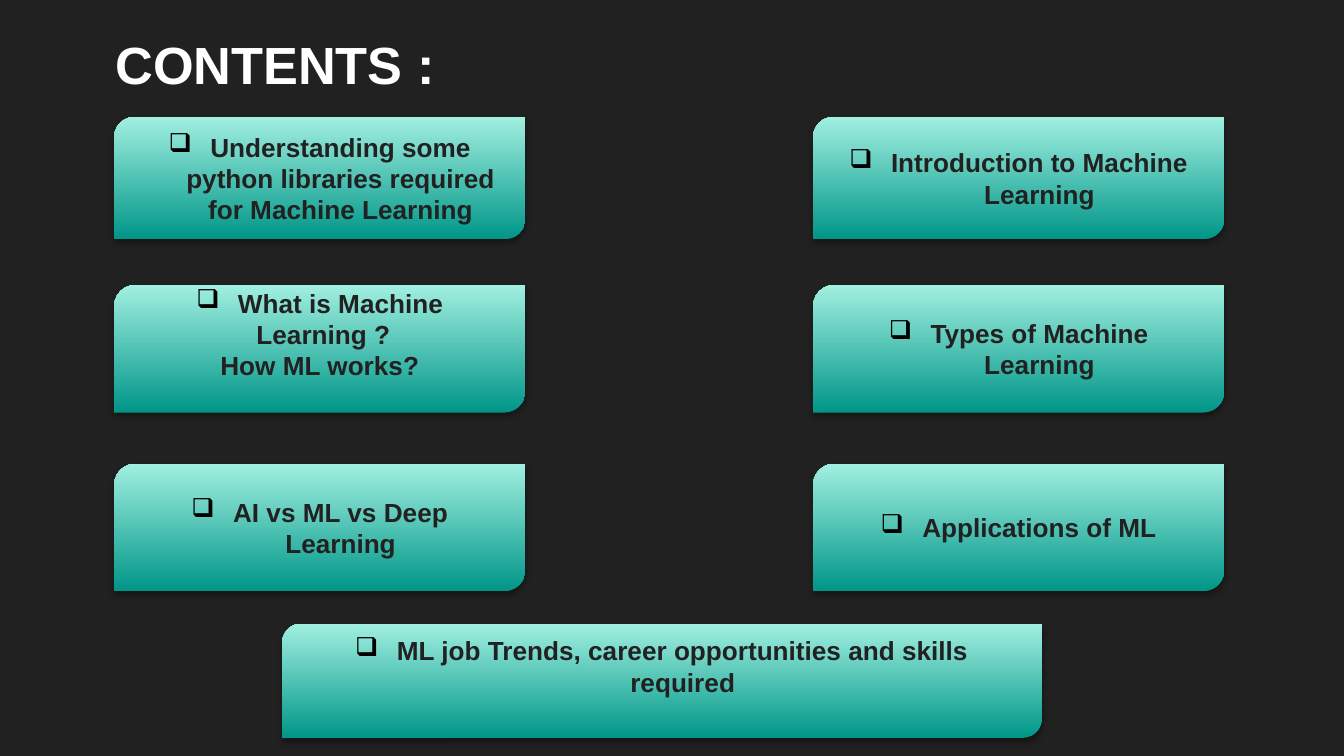
import dataclasses

import pptx
import pptx.dml.color
import pptx.dml.fill
import pptx.enum.shapes
import pptx.enum.text
import pptx.oxml
import pptx.oxml.ns
import pptx.shapes.autoshape
import pptx.slide
import pptx.util

SLIDE_WIDTH = pptx.util.Inches(10)
SLIDE_HEIGHT = SLIDE_WIDTH * 9 // 16

DARK = pptx.dml.color.RGBColor(0x21, 0x21, 0x21)
WHITE = pptx.dml.color.RGBColor(0xFF, 0xFF, 0xFF)
TEAL = pptx.dml.color.RGBColor(0x00, 0x96, 0x88)
MINT = pptx.dml.color.RGBColor(0xA1, 0xEF, 0xE0)

CARD_FONT = {"name": "Arial", "size": pptx.util.Pt(14), "bold": True}
TITLE_FONT = {"name": "Arial", "size": pptx.util.Pt(28), "bold": True}
# Insets that lift the text of a card by half a line
RAISED_FRAME = {"margin_top": 0, "margin_bottom": pptx.util.Inches(0.22)}
HANGING_INDENT = pptx.util.Inches(0.31)

# All places below are percentages of the slide's width and height
LEFT_COLUMN, RIGHT_COLUMN = 8.5, 60.5
CARD_WIDTH = 30.6
FIRST_ROW, SECOND_ROW, THIRD_ROW = (15.47, 16.18), (37.69, 16.89), (61.33, 16.89)
LAST_ROW = (82.49, 15.11)


@dataclasses.dataclass(frozen=True)
class Card:
    lines: tuple[str, ...]
    column: float
    row: tuple[float, float]
    width: float = CARD_WIDTH
    raised: bool = False


CARDS = (
    Card(("Understanding some python libraries required for Machine Learning",),
         LEFT_COLUMN, FIRST_ROW),
    Card(("Introduction to Machine Learning",), RIGHT_COLUMN, FIRST_ROW),
    Card(("What is Machine", " Learning ?", "How ML works?"),
         LEFT_COLUMN, SECOND_ROW, raised=True),
    Card(("Types of Machine Learning",), RIGHT_COLUMN, SECOND_ROW),
    Card(("AI vs ML vs Deep Learning",), LEFT_COLUMN, THIRD_ROW),
    Card(("Applications of ML",), RIGHT_COLUMN, THIRD_ROW),
    Card(("ML job Trends, career opportunities and skills required",),
         21, LAST_ROW, 56.5, raised=True),
)


def across(share: float) -> int:
    return round(SLIDE_WIDTH * share / 100)


def down(share: float) -> int:
    return round(SLIDE_HEIGHT * share / 100)


def set_format(target: object, values: dict[str, object]) -> None:
    for name, value in values.items():
        setattr(target, name, value)


def parse_drawing(xml: str):
    """Turn a snippet with a single root element into DrawingML."""
    namespace = pptx.oxml.ns.nsdecls("a")
    return pptx.oxml.parse_xml(xml.replace(">", f" {namespace}>", 1))


def add_bullet(paragraph) -> None:
    properties = paragraph._p.get_or_add_pPr()
    properties.set("marL", str(HANGING_INDENT))
    properties.set("indent", str(-HANGING_INDENT))
    properties.append(parse_drawing('<a:buClr><a:srgbClr val="000000"/></a:buClr>'))
    properties.append(parse_drawing('<a:buChar char="❑"></a:buChar>'))


def add_shadow(shape: pptx.shapes.autoshape.Shape) -> None:
    shape.shadow.inherit = False
    effects = shape._element.spPr.find(pptx.oxml.ns.qn("a:effectLst"))
    effects.append(parse_drawing(
        '<a:outerShdw blurRad="40000" dist="23000" dir="5400000" rotWithShape="0">'
        '<a:srgbClr val="000000"><a:alpha val="35000"/></a:srgbClr></a:outerShdw>'))


def fill_with_gradient(fill: pptx.dml.fill.FillFormat) -> None:
    fill.gradient()
    fill.gradient_angle = 90
    for stop, position, color in zip(fill.gradient_stops, (0, 1), (TEAL, MINT)):
        stop.position = position
        stop.color.rgb = color


def add_card(slide: pptx.slide.Slide, card: Card) -> None:
    top, height = card.row
    shape = slide.shapes.add_shape(
        pptx.enum.shapes.MSO_SHAPE.ROUND_2_DIAG_RECTANGLE,
        across(card.column), down(top), across(card.width), down(height))
    fill_with_gradient(shape.fill)
    shape.line.fill.background()
    add_shadow(shape)

    frame = shape.text_frame
    set_format(frame, {"word_wrap": True,
                       "vertical_anchor": pptx.enum.text.MSO_ANCHOR.MIDDLE})
    if card.raised:
        set_format(frame, RAISED_FRAME)
    frame.text = "\n".join(card.lines)
    for paragraph in frame.paragraphs:
        paragraph.alignment = pptx.enum.text.PP_ALIGN.CENTER
        font = paragraph.runs[0].font
        set_format(font, CARD_FONT)
        font.color.rgb = DARK
    add_bullet(frame.paragraphs[0])


def place_title(slide: pptx.slide.Slide, text: str) -> None:
    title = slide.shapes.title
    set_format(title, {"left": across(7.6), "top": down(3.4),
                       "width": across(33.7), "height": down(10.1)})
    frame = title.text_frame
    frame.text = text
    set_format(frame, {"word_wrap": True,
                       "auto_size": pptx.enum.text.MSO_AUTO_SIZE.NONE,
                       "vertical_anchor": pptx.enum.text.MSO_ANCHOR.TOP})
    paragraph = frame.paragraphs[0]
    paragraph.alignment = pptx.enum.text.PP_ALIGN.LEFT
    font = paragraph.runs[0].font
    set_format(font, TITLE_FONT)
    font.color.rgb = WHITE


def main() -> None:
    presentation = pptx.Presentation()
    set_format(presentation, {"slide_width": SLIDE_WIDTH, "slide_height": SLIDE_HEIGHT})
    title_only = presentation.slide_layouts.get_by_name("Title Only")
    slide = presentation.slides.add_slide(title_only)
    slide.background.fill.solid()
    slide.background.fill.fore_color.rgb = DARK
    place_title(slide, "CONTENTS :")
    for card in CARDS:
        add_card(slide, card)
    presentation.save("out.pptx")


if __name__ == "__main__":
    main()
